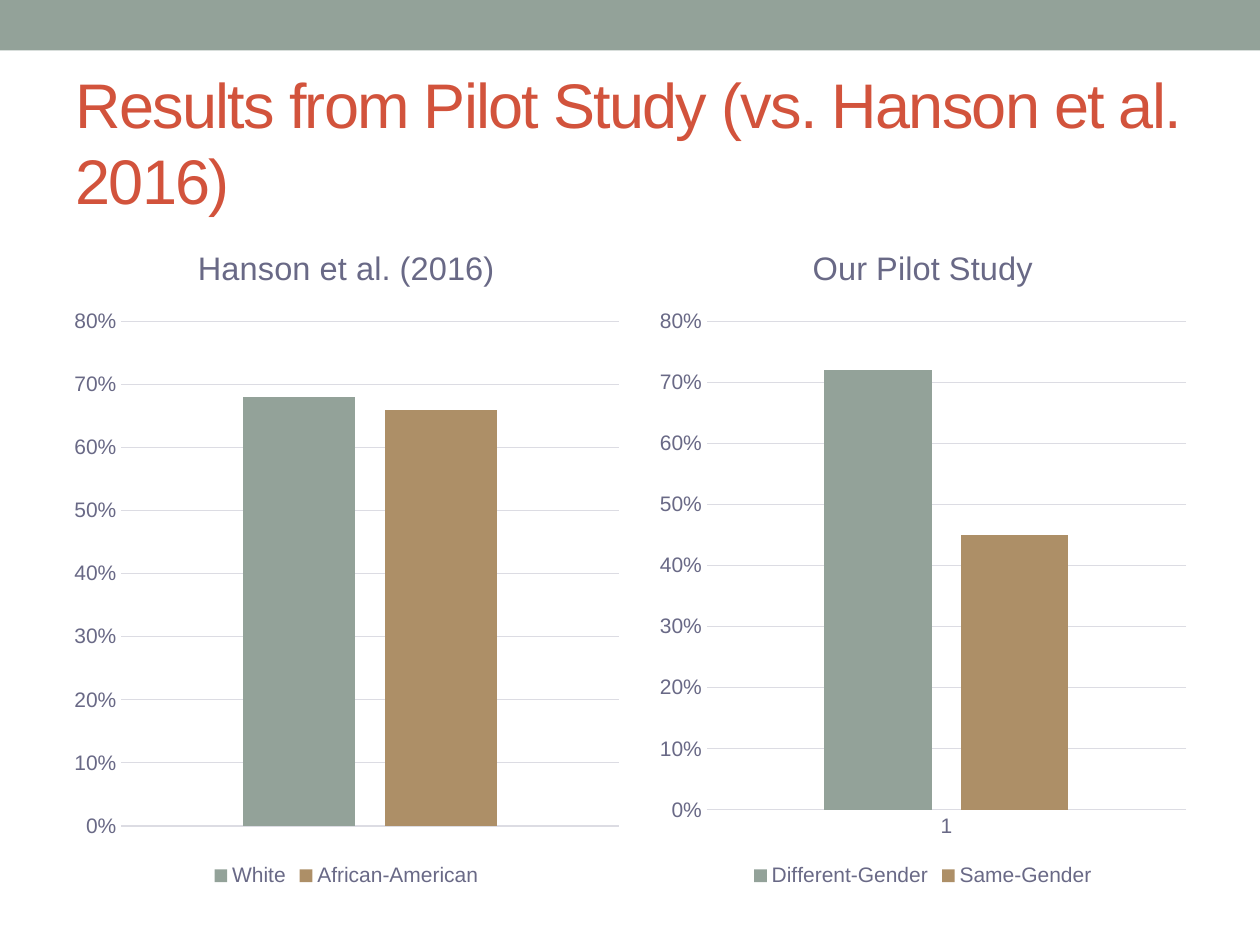
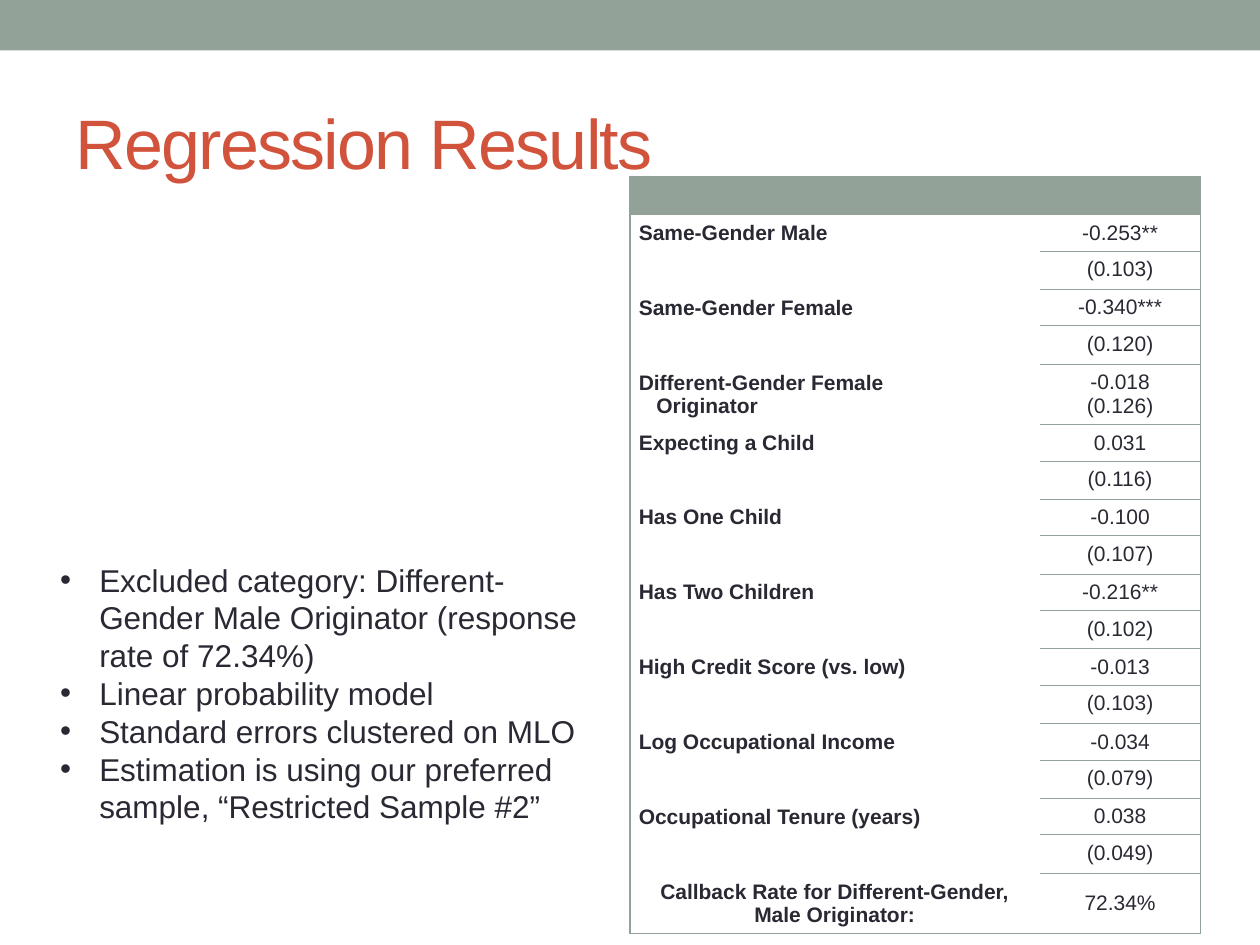
from lxml import etree
from pptx import Presentation
from pptx.chart.data import CategoryChartData
from pptx.dml.color import RGBColor
from pptx.enum import chart as charts, shapes, text
from pptx.oxml.ns import qn
from pptx.util import Inches, Pt

SAGE = RGBColor(0x93, 0xA2, 0x99)
TAN = RGBColor(0xAD, 0x8F, 0x67)
RED = RGBColor(0xD2, 0x53, 0x3C)
INK = RGBColor(0x29, 0x29, 0x34)
SLATE = RGBColor(0x69, 0x69, 0x86)
GRID = RGBColor(0xDC, 0xDC, 0xE3)
FONT = "Arial"
NO_STYLE = "{2D5ABB26-0587-4C30-8999-92F81FD0307C}"

TITLES = [("Results from Pilot Study (vs. Hanson et al. 2016)", 36),
          ("Regression Results", 40)]

# title, left, width, show category axis, series
CHARTS = [
    ("Hanson et al. (2016)", 0.5, 4.5, False,
     [("White", 0.68), ("African-American", 0.66)]),
    ("Our Pilot Study", 5.15, 4.35, True,
     [("Different-Gender", 0.72), ("Same-Gender", 0.45)]),
]

# label lines, value lines
ROWS = [
    ([], []),
    (["Same-Gender Male"], ["-0.253**"]),
    ([], ["(0.103)"]),
    (["Same-Gender Female"], ["-0.340***"]),
    ([], ["(0.120)"]),
    (["Different-Gender Female", "Originator"], ["-0.018", "(0.126)"]),
    (["Expecting a Child"], ["0.031"]),
    ([], ["(0.116)"]),
    (["Has One Child"], ["-0.100"]),
    ([], ["(0.107)"]),
    (["Has Two Children"], ["-0.216**"]),
    ([], ["(0.102)"]),
    (["High Credit Score (vs. low)"], ["-0.013"]),
    ([], ["(0.103)"]),
    (["Log Occupational Income"], ["-0.034"]),
    ([], ["(0.079)"]),
    (["Occupational Tenure (years)"], ["0.038"]),
    ([], ["(0.049)"]),
    (["Callback Rate for Different-Gender, Male Originator:"], ["72.34%"]),
]

NOTES = [
    "Excluded category: Different-Gender Male Originator (response rate of 72.34%)",
    "Linear probability model",
    "Standard errors clustered on MLO",
    "Estimation is using our preferred sample, “Restricted Sample #2”",
]


def style(font, size, color, bold=False):
    font.name, font.size, font.bold = FONT, Pt(size), bold
    font.color.rgb = color


def add_border(cell, side):
    """Draw one cell edge; call in the order L, R, T, B, before the fill is set."""
    line = etree.SubElement(cell._tc.get_or_add_tcPr(), qn(f"a:ln{side}"), w=str(Pt(0.75)))
    fill = etree.SubElement(line, qn("a:solidFill"))
    etree.SubElement(fill, qn("a:srgbClr"), val=str(SAGE))


deck = Presentation()
deck.slide_width, deck.slide_height = Inches(10), Inches(7.5)

# Band and title on every slide
pages = []
for title_text, size in TITLES:
    page = deck.slides.add_slide(deck.slide_layouts[5])
    pages.append(page)
    band = page.shapes.add_shape(shapes.MSO_SHAPE.RECTANGLE, 0, 0, Inches(10), Inches(0.4))
    band.shadow.inherit = False
    band.fill.solid()
    band.fill.fore_color.rgb = SAGE
    band.line.fill.background()

    title = page.shapes.title
    title.left, title.top = Inches(0.5), Inches(0.58)
    title.width, title.height = Inches(9), Inches(1.08)
    frame = title.text_frame
    frame.word_wrap = True
    frame.auto_size = text.MSO_AUTO_SIZE.NONE
    frame.vertical_anchor = text.MSO_ANCHOR.MIDDLE
    para = frame.paragraphs[0]
    para.alignment = text.PP_ALIGN.LEFT
    span = para.add_run()
    span.text = title_text
    style(span.font, size, RED)
    span._r.get_or_add_rPr().set("spc", "-100")

chart_page, table_page = pages

# Column charts
for heading, left, width, show_categories, series in CHARTS:
    data = CategoryChartData(number_format="0%")
    data.categories = ["1"]
    for name, value in series:
        data.add_series(name, [value])
    chart = chart_page.shapes.add_chart(
        charts.XL_CHART_TYPE.COLUMN_CLUSTERED, Inches(left), Inches(1.75),
        Inches(width), Inches(5.33), data).chart
    style(chart.font, 10, INK)

    chart.has_title = True
    chart.chart_title.include_in_layout = False
    span = chart.chart_title.text_frame.paragraphs[0].add_run()
    span.text = heading
    style(span.font, 18.6, SLATE)

    chart.has_legend = True
    chart.legend.position = charts.XL_LEGEND_POSITION.BOTTOM
    chart.legend.include_in_layout = False
    style(chart.legend.font, 12, SLATE)

    plot = chart.plots[0]
    plot.vary_by_categories = False
    plot.gap_width, plot.overlap = 219, -27
    for bars, color in zip(plot.series, (SAGE, TAN)):
        bars.format.fill.solid()
        bars.format.fill.fore_color.rgb = color

    for axis in (chart.category_axis, chart.value_axis):
        axis.major_tick_mark = axis.minor_tick_mark = charts.XL_TICK_MARK.NONE
        style(axis.tick_labels.font, 12, SLATE)
    chart.category_axis.visible = show_categories
    chart.category_axis.format.line.color.rgb = GRID
    chart.category_axis.format.line.width = Pt(0.75)

    values = chart.value_axis
    values.minimum_scale, values.maximum_scale, values.major_unit = 0, 0.8, 0.1
    values.tick_labels.number_format = "0%"
    values.tick_labels.number_format_is_linked = False
    values.format.line.fill.background()
    values.has_major_gridlines = True
    values.major_gridlines.format.line.color.rgb = GRID
    values.major_gridlines.format.line.width = Pt(0.75)

# Regression table
last = len(ROWS) - 1
table_frame = table_page.shapes.add_table(
    len(ROWS), 2, Inches(5), Inches(1.4), Inches(4.53), Inches(5.83))
table = table_frame.table
table._tbl.tblPr.find(qn("a:tableStyleId")).text = NO_STYLE
table.horz_banding = False
table.columns[0].width, table.columns[1].width = Inches(3.25), Inches(1.28)

for r, row in enumerate(ROWS):
    table.rows[r].height = Inches(0.48 if r in (5, last) else 0.29)
    for c, lines in enumerate(row):
        cell = table.cell(r, c)
        cell.margin_left = cell.margin_right = Inches(0.07)
        cell.margin_top = cell.margin_bottom = Inches(0.05)
        if c == 0 or r == last:
            cell.vertical_anchor = text.MSO_ANCHOR.MIDDLE
        add_border(cell, "R" if c else "L")
        if r == 0 or (c == 1 and r % 2 == 0):
            add_border(cell, "T")
        if r == last or (c == 1 and r % 2 == 1):
            add_border(cell, "B")
        if r == 0:
            cell.fill.solid()
            cell.fill.fore_color.rgb = SAGE
        else:
            cell.fill.background()

        frame = cell.text_frame
        if not lines:
            etree.SubElement(frame.paragraphs[0]._p, qn("a:endParaRPr"), sz="1200")
        for i, line in enumerate(lines):
            para = frame.add_paragraph() if i else frame.paragraphs[0]
            if c == 1 or r == last:
                para.alignment = text.PP_ALIGN.CENTER
            elif i:
                para._p.get_or_add_pPr().set("marL", str(Inches(0.14)))
            span = para.add_run()
            span.text = line
            style(span.font, 12, INK, bold=c == 0)

# Notes beside the table
box = table_page.shapes.add_textbox(Inches(0.38), Inches(4.4), Inches(4.37), Inches(2.2))
frame = box.text_frame
frame.word_wrap = True
frame.auto_size = text.MSO_AUTO_SIZE.SHAPE_TO_FIT_TEXT
for i, note in enumerate(NOTES):
    para = frame.add_paragraph() if i else frame.paragraphs[0]
    props = para._p.get_or_add_pPr()
    props.set("marL", str(Inches(0.31)))
    props.set("indent", str(-Inches(0.31)))
    etree.SubElement(props, qn("a:buFont"), typeface=FONT)
    etree.SubElement(props, qn("a:buChar"), char="•")
    span = para.add_run()
    span.text = note
    style(span.font, 18, INK)

deck.save("out.pptx")
